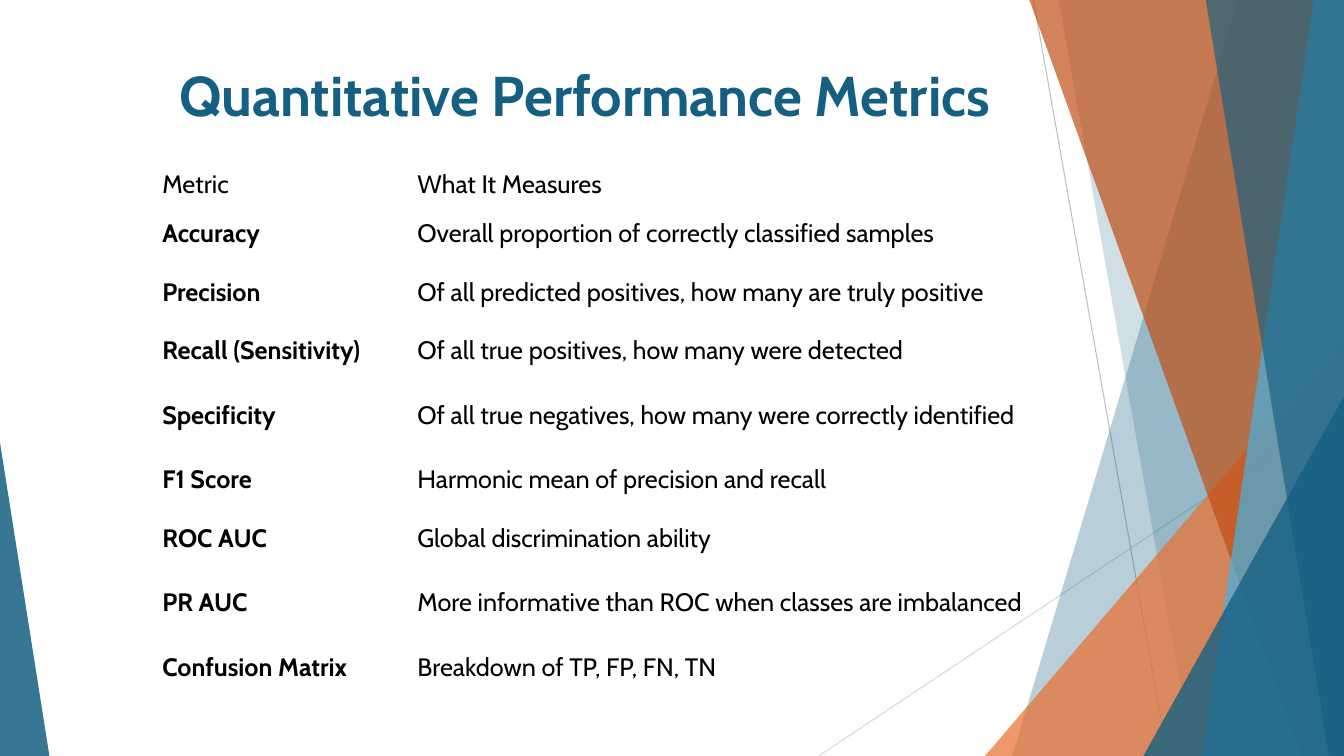
from dataclasses import dataclass

from lxml.etree import SubElement
from pptx import Presentation
from pptx.dml.color import RGBColor
from pptx.enum.shapes import MSO_CONNECTOR as LINK, MSO_SHAPE as SHAPE
from pptx.enum.text import MSO_ANCHOR as ANCHOR, PP_ALIGN as ALIGN
from pptx.oxml.ns import qn
from pptx.util import Pt

SCALE = 9144  # EMU per px, 100 px to the inch
WIDE, HIGH = 1333, 750
FONT = "Cabin"
BLUE, BLACK = "156082", "000000"
NO_GRID = "{2D5ABB26-0587-4C30-8999-92F81FD0307C}"


@dataclass
class Line:
    start: tuple[int, int]
    end: tuple[int, int]
    tone: str


@dataclass
class Band:
    """A slanted panel that reaches the right edge of the slide."""
    top: int
    base: int
    tone: str
    alpha: int


@dataclass
class Wedge:
    """A triangle standing on the bottom edge; tip 0 is left, 1 is right."""
    left: int
    top: int
    width: int
    tip: int
    tone: str
    alpha: int


@dataclass
class Metric:
    name: str
    sense: str
    high: int = 58
    bold: bool = True


DECOR = [
    Line((1025, 0), (1158, HIGH), "BFBFBF"),
    Line((WIDE, 403), (812, HIGH), "D9D9D9"),
    Band(1228, 1004, BLUE, 30),
    Band(1050, 1183, BLUE, 20),
    Wedge(977, 333, 356, 1, "E97132", 72),
    Band(1021, 1291, "C04F15", 70),
    Band(1303, 1192, "46B1E1", 70),
    Band(1196, 1318, BLUE, 65),
    Wedge(1134, 393, 199, 1, BLUE, 80),
    Wedge(0, 439, 49, 0, BLUE, 85),
]

METRICS = [
    Metric("Metric", "What It Measures", 39, False),
    Metric("Accuracy", "Overall proportion of correctly classified samples"),
    Metric("Precision", "Of all predicted positives, how many are truly positive"),
    Metric("Recall (Sensitivity)", "Of all true positives, how many were detected"),
    Metric("Specificity", "Of all true negatives, how many were correctly identified", 70),
    Metric("F1 Score", "Harmonic mean of precision and recall"),
    Metric("ROC AUC", "Global discrimination ability"),
    Metric("PR AUC", "More informative than ROC when classes are imbalanced", 70),
    Metric("Confusion Matrix", "Breakdown of TP, FP, FN, TN"),
]


def px(*sizes: int) -> list[int]:
    return [size * SCALE for size in sizes]


def color(tone: str) -> RGBColor:
    return RGBColor.from_string(tone)


def write(frame, text: str, size: int = 18, tone: str = BLACK,
          bold: bool = False, align=ALIGN.LEFT) -> None:
    frame.word_wrap = True
    par = frame.paragraphs[0]
    par.alignment = align
    run = par.add_run()
    run.text = text
    run.font.name, run.font.size, run.font.bold = FONT, Pt(size), bold
    run.font.color.rgb = color(tone)


def paint(shape, tone: str, alpha: int) -> None:
    shape.shadow.inherit = False
    shape.line.fill.background()
    shape.fill.solid()
    shape.fill.fore_color.rgb = color(tone)
    fill = shape.fill._xPr.find(qn("a:solidFill"))
    SubElement(fill[0], qn("a:alpha"), val=str(alpha * 1000))


def draw_line(shapes, line: Line) -> None:
    link = shapes.add_connector(LINK.STRAIGHT, *px(*line.start, *line.end))
    link.line.color.rgb = color(line.tone)
    link.line.width = Pt(0.75)
    SubElement(link._element.spPr, qn("a:effectLst"))


def draw_band(shapes, band: Band) -> None:
    path = shapes.build_freeform(band.top, 0, scale=SCALE)
    path.add_line_segments([(WIDE, 0), (WIDE, HIGH), (band.base, HIGH)])
    paint(path.convert_to_shape(), band.tone, band.alpha)


def draw_wedge(shapes, wedge: Wedge) -> None:
    box = px(wedge.left, wedge.top, wedge.width, HIGH - wedge.top)
    shape = shapes.add_shape(SHAPE.ISOSCELES_TRIANGLE, *box)
    shape.adjustments[0] = wedge.tip
    paint(shape, wedge.tone, wedge.alpha)


def draw_table(shapes, metrics: list[Metric]) -> None:
    high = sum(metric.high for metric in metrics)
    table = shapes.add_table(len(metrics), 2, *px(153, 164, 925, high)).table
    table.first_row = table.horz_banding = False
    table._tbl.tblPr.find(qn("a:tableStyleId")).text = NO_GRID
    for col, width in zip(table.columns, px(253, 672)):
        col.width = width
    for row, metric in zip(table.rows, metrics):
        row.height = px(metric.high)[0]
        texts = (metric.name, metric.bold), (metric.sense, False)
        for cell, (text, bold) in zip(row.cells, texts):
            cell.fill.background()
            cell.vertical_anchor = ANCHOR.MIDDLE
            cell.margin_left, cell.margin_right = px(8, 8)
            cell.margin_top, cell.margin_bottom = px(4, 4)
            write(cell.text_frame, text, bold=bold)


def main() -> None:
    deck = Presentation()
    deck.slide_width, deck.slide_height = px(WIDE, HIGH)
    shapes = deck.slides.add_slide(deck.slide_layouts[6]).shapes

    # Slanted panels and lines
    tools = {Line: draw_line, Band: draw_band, Wedge: draw_wedge}
    for item in DECOR:
        tools[type(item)](shapes, item)

    # Title
    title = shapes.add_textbox(*px(110, 55, 940, 144)).text_frame
    write(title, "Quantitative Performance Metrics", size=40, tone=BLUE,
          bold=True, align=ALIGN.CENTER)

    # Table of metrics
    draw_table(shapes, METRICS)
    deck.save("out.pptx")


if __name__ == "__main__":
    main()
